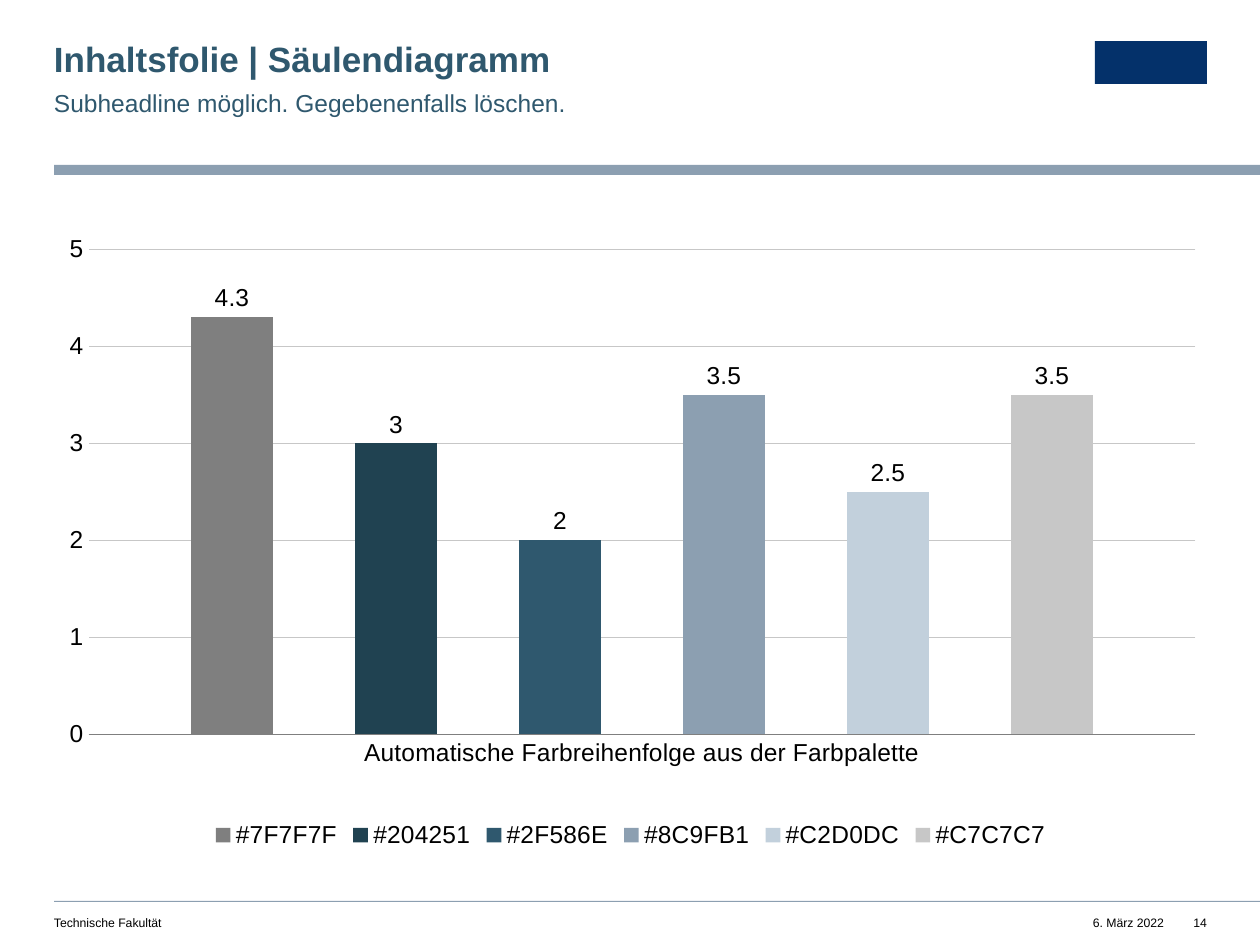
from pptx import Presentation
from pptx.chart.data import CategoryChartData
from pptx.dml.color import RGBColor
from pptx.enum import chart as charts, shapes, text
from pptx.oxml import parse_xml
from pptx.oxml.ns import nsdecls, qn
from pptx.util import Emu, Pt

PX = 914400 / 126
WIDTH, HEIGHT = 1260, 945
LEFT, RIGHT = 54, 1207

BLACK = RGBColor(0x00, 0x00, 0x00)
GREY = RGBColor(0x7F, 0x7F, 0x7F)
DEEP_BLUE = RGBColor(0x20, 0x42, 0x51)
BLUE = RGBColor(0x2F, 0x58, 0x6E)
STEEL = RGBColor(0x8C, 0x9F, 0xB1)
PALE_BLUE = RGBColor(0xC2, 0xD0, 0xDC)
SILVER = RGBColor(0xC7, 0xC7, 0xC7)
NAVY = RGBColor(0x04, 0x31, 0x6A)

COLUMNS = [(GREY, 4.3), (DEEP_BLUE, 3), (BLUE, 2),
           (STEEL, 3.5), (PALE_BLUE, 2.5), (SILVER, 3.5)]
PLOT_AREA = {"x": 0.03, "y": 0.04, "w": 0.96, "h": 0.77}


def px(*lengths):
    """Turn whole pixels into EMU."""
    return [Emu(round(length * PX)) for length in lengths]


def format_font(font, size=14, color=BLACK, bold=False):
    font.name = "Arial"
    font.size = Pt(size)
    font.bold = bold
    font.color.rgb = color


def place_plot(chart, fractions):
    """Fix the inner plot area as fractions of the chart frame."""
    area = chart._chartSpace.chart.plotArea
    for old in area.findall(qn("c:layout")):
        area.remove(old)
    modes = '<c:xMode val="edge"/><c:yMode val="edge"/>'
    sizes = "".join(f'<c:{key} val="{value}"/>' for key, value in fractions.items())
    area.insert(0, parse_xml(
        f'<c:layout {nsdecls("c")}><c:manualLayout><c:layoutTarget val="inner"/>'
        f'{modes}{sizes}</c:manualLayout></c:layout>'))


class Slide:
    def __init__(self, deck):
        self.page = deck.slides.add_slide(deck.slide_layouts[6])

    def bar(self, left, top, width, height, color):
        shape = self.page.shapes.add_shape(
            shapes.MSO_SHAPE.RECTANGLE, *px(left, top, width, height))
        shape.shadow.inherit = False
        shape.fill.solid()
        shape.fill.fore_color.rgb = color
        shape.line.fill.background()

    def text(self, content, left, top, width, height, align=text.PP_ALIGN.LEFT,
             spacing=1.0, **font):
        box = self.page.shapes.add_textbox(*px(left, top, width, height))
        frame = box.text_frame
        frame.word_wrap = True
        frame.margin_left = frame.margin_top = 0
        frame.margin_right = frame.margin_bottom = 0
        para = frame.paragraphs[0]
        para.alignment = align
        para.line_spacing = spacing
        span = para.add_run()
        span.text = content
        format_font(span.font, **font)

    def column_chart(self, category, columns, left, top, width, height):
        data = CategoryChartData()
        data.categories = [category]
        for color, value in columns:
            data.add_series(f"#{color}", [value])
        chart = self.page.shapes.add_chart(
            charts.XL_CHART_TYPE.COLUMN_CLUSTERED,
            *px(left, top, width, height), data).chart
        format_font(chart.font)
        chart.has_title = False
        chart.has_legend = True
        chart.legend.position = charts.XL_LEGEND_POSITION.BOTTOM
        chart.legend.include_in_layout = False
        format_font(chart.legend.font)

        plot = chart.plots[0]
        plot.vary_by_categories = False
        plot.gap_width, plot.overlap = 250, -100
        for series, (color, _) in zip(plot.series, columns):
            series.format.fill.solid()
            series.format.fill.fore_color.rgb = color
            labels = series.data_labels
            labels.show_value = True
            labels.position = charts.XL_LABEL_POSITION.OUTSIDE_END
            format_font(labels.font)

        for axis in (chart.category_axis, chart.value_axis):
            axis.major_tick_mark = axis.minor_tick_mark = charts.XL_TICK_MARK.NONE
            format_font(axis.tick_labels.font)
        base = chart.category_axis.format.line
        base.color.rgb, base.width = GREY, Pt(0.5)
        scale = chart.value_axis
        scale.minimum_scale, scale.maximum_scale, scale.major_unit = 0, 5, 1
        scale.format.line.fill.background()
        grid = scale.major_gridlines.format.line
        grid.color.rgb, grid.width = SILVER, Pt(0.5)
        place_plot(chart, PLOT_AREA)


def main():
    deck = Presentation()
    deck.slide_width, deck.slide_height = px(WIDTH, HEIGHT)
    slide = Slide(deck)

    slide.bar(LEFT, 165, WIDTH - LEFT, 10, STEEL)
    slide.bar(LEFT, 901, WIDTH - LEFT, 1, STEEL)
    slide.bar(1095, 41, RIGHT - 1095, 43, NAVY)

    slide.text("Inhaltsfolie | Säulendiagramm", LEFT, 42, 707, 38,
               spacing=0.9, size=20, color=BLUE, bold=True)
    slide.text("Subheadline möglich. Gegebenenfalls löschen.", LEFT, 85, 707, 30,
               spacing=1.1, color=BLUE)

    slide.column_chart("Automatische Farbreihenfolge aus der Farbpalette", COLUMNS,
                       LEFT, 224, RIGHT - LEFT, 630)

    slide.text("Technische Fakultät", LEFT, 915, 566, 15, size=7)
    slide.text("6. März 2022", 1075, 915, 89, 15, text.PP_ALIGN.RIGHT, size=7)
    slide.text("14", 1182, 915, 25, 15, text.PP_ALIGN.RIGHT, size=7)

    deck.save("out.pptx")


if __name__ == "__main__":
    main()
